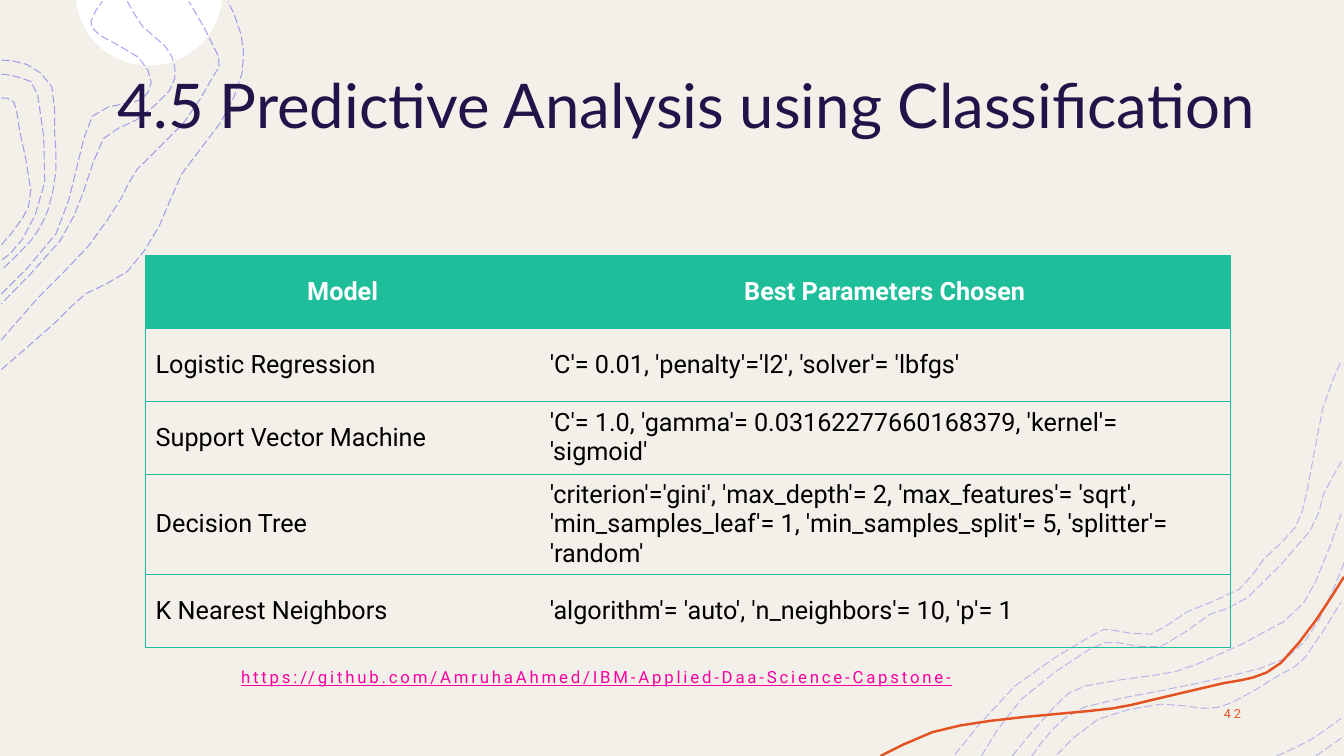
"""Build the slide listing the best parameters chosen for each classification model."""
from math import cos, radians, sin

from lxml import etree
from pptx import Presentation
from pptx.dml.color import RGBColor
from pptx.enum.dml import MSO_LINE
from pptx.enum.text import MSO_ANCHOR, PP_ALIGN
from pptx.oxml.ns import qn
from pptx.util import Pt

LONG_DASH = MSO_LINE.LONG_DASH
MIDDLE = MSO_ANCHOR.MIDDLE
LEFT, CENTER, RIGHT = PP_ALIGN.LEFT, PP_ALIGN.CENTER, PP_ALIGN.RIGHT

CREAM = RGBColor(0xF3, 0xF0, 0xE9)
WHITE = RGBColor(0xFF, 0xFF, 0xFF)
BLACK = RGBColor(0x00, 0x00, 0x00)
NAVY = RGBColor(0x20, 0x14, 0x49)
VIOLET = RGBColor(0x4D, 0x4E, 0xE6)
ORANGE = RGBColor(0xE4, 0x52, 0x21)
GREEN = RGBColor(0x1E, 0xBE, 0x9B)
PINK = RGBColor(0xF9, 0x00, 0xA0)

TITLE = "4.5 Predictive Analysis using Classification"
LINK = "https://github.com/AmruhaAhmed/IBM-Applied-Daa-Science-Capstone-"
PAGE_NUMBER = "42"
MODELS = [
    ("Model", "Best Parameters Chosen"),
    ("Logistic Regression", "'C'= 0.01, 'penalty'='l2', 'solver'= 'lbfgs'"),
    ("Support Vector Machine",
     "'C'= 1.0, 'gamma'= 0.03162277660168379, 'kernel'= 'sigmoid'"),
    ("Decision Tree",
     "'criterion'='gini', 'max_depth'= 2, 'max_features'= 'sqrt', "
     "'min_samples_leaf'= 1, 'min_samples_split'= 5, 'splitter'= 'random'"),
    ("K Nearest Neighbors", "'algorithm'= 'auto', 'n_neighbors'= 10, 'p'= 1"),
]
COLUMN_WIDTHS = (281.5, 493)
ROW_HEIGHTS = (52, 52, 52, 71, 52)

LEFT_CONTOURS = [
    [(1, 264), (40, 230), (61, 210), (91, 194), (114, 161), (130, 124),
     (158, 87), (173, 52), (172, 24), (163, 1)],
    [(1, 243), (27, 213), (63, 176), (87, 141), (98, 121), (131, 88),
     (152, 55), (156, 40), (135, 1)],
    [(91, 1), (102, 19), (118, 33), (125, 48), (121, 65), (97, 86), (74, 99),
     (60, 136), (43, 172), (1, 217)],
    [(1, 210), (40, 167), (55, 119), (66, 83), (89, 74), (101, 71), (108, 59),
     (99, 41), (71, 25), (65, 15), (73, 1)],
    [(1, 43), (19, 46), (37, 62), (39, 95), (40, 122), (34, 151), (22, 172),
     (1, 193)],
    [(1, 53), (16, 56), (27, 68), (32, 130), (16, 171), (1, 186)],
    [(1, 70), (10, 73), (14, 93), (22, 136), (16, 156), (1, 175)],
]
RIGHT_CONTOURS = [
    [(682, 539), (725, 490), (780, 454), (794, 450), (822, 453), (848, 437),
     (885, 421), (903, 399), (925, 377), (934, 349), (945, 291), (958, 258)],
    [(701, 540), (729, 500), (778, 464), (798, 459), (829, 462), (864, 439),
     (891, 427), (936, 379), (945, 354), (958, 330)],
    [(940, 540), (960, 526)],
    [(912, 540), (937, 528), (958, 513)],
    [(755, 539), (784, 514), (829, 503), (859, 506), (880, 502), (914, 482),
     (932, 470), (958, 430)],
    [(737, 540), (752, 521), (775, 505), (831, 493), (878, 483), (919, 470),
     (942, 443), (960, 402)],
    [(723, 540), (754, 504), (775, 490), (827, 482), (856, 474), (917, 444),
     (940, 415), (958, 367)],
]
ORANGE_CURVE = [
    (629, 540), (666, 523), (707, 515), (755, 510), (795, 506), (823, 500),
    (874, 488), (895, 484), (915, 473.5), (940, 443), (960, 412)]
MOON = [(106.5 + 52.5 * cos(radians(angle)), -5.5 + 52.5 * sin(radians(angle)))
        for angle in range(6, 175, 12)]


def smooth(knots, steps=2):
    """Return points on a Catmull-Rom curve through the knots."""
    padded = [knots[0], *knots, knots[-1]]
    points = [knots[0]]
    for a, b, c, d in zip(padded, padded[1:], padded[2:], padded[3:]):
        for step in range(1, steps + 1):
            t = step / steps
            points.append(tuple(
                b[i] + (c[i] - a[i]) * t / 2
                + (2 * a[i] - 5 * b[i] + 4 * c[i] - d[i]) * t ** 2 / 2
                + (3 * b[i] - a[i] - 3 * c[i] + d[i]) * t ** 3 / 2
                for i in (0, 1)))
    return points


def add_outline(page, points, closed=False):
    """Add a freeform through points."""
    places = [(Pt(x), Pt(y)) for x, y in points]
    builder = page.shapes.build_freeform(*places[0])
    builder.add_line_segments(places[1:], close=closed)
    shape = builder.convert_to_shape()
    shape.shadow.inherit = False
    return shape


def add_curve(page, knots, color, width, opacity=None):
    """Add a smooth open line, dashed and see-through when opacity is given."""
    shape = add_outline(page, smooth(knots))
    shape.fill.background()
    shape.line.color.rgb = color
    shape.line.width = Pt(width)
    if opacity:
        shape.line.dash_style = LONG_DASH
        tint = shape.line._ln.find(".//" + qn("a:srgbClr"))
        etree.SubElement(tint, qn("a:alpha")).set("val", str(opacity * 1000))


def write(frame, text, size, color, align, font="Roboto", bold=False):
    """Write one styled run into a text frame."""
    para = frame.paragraphs[0]
    para.alignment = align
    span = para.add_run()
    span.text = text
    span.font.name, span.font.size, span.font.bold = font, Pt(size), bold
    span.font.color.rgb = color
    return span


def add_text(page, area, *style, spacing=0, **options):
    """Add a wrapped text box with one run."""
    box = page.shapes.add_textbox(*map(Pt, area))
    box.text_frame.word_wrap = True
    span = write(box.text_frame, *style, **options)
    if spacing:
        span.font._element.set("spc", str(spacing * 100))
    return span


def set_borders(cell, sides):
    """Draw green lines on the given sides of a cell and none on the others."""
    properties = cell._tc.get_or_add_tcPr()
    for side in "LRTB":
        line = etree.SubElement(properties, qn("a:ln" + side), w=str(Pt(0.5)))
        if side in sides:
            fill = etree.SubElement(line, qn("a:solidFill"))
            etree.SubElement(fill, qn("a:srgbClr")).set("val", str(GREEN))
        else:
            etree.SubElement(line, qn("a:noFill"))


def add_models(page):
    """Add the table of models and their parameters."""
    table = page.shapes.add_table(
        len(MODELS), 2, Pt(104), Pt(182.5),
        Pt(sum(COLUMN_WIDTHS)), Pt(sum(ROW_HEIGHTS))).table
    table.horz_banding = False
    for column, width in zip(table.columns, COLUMN_WIDTHS):
        column.width = Pt(width)
    for i, (row, texts) in enumerate(zip(table.rows, MODELS)):
        row.height = Pt(ROW_HEIGHTS[i])
        header = i == 0
        for cell, text, side in zip(row.cells, texts, "LR"):
            cell.vertical_anchor = MIDDLE
            set_borders(cell, side + "TB")
            if header:
                cell.fill.solid()
                cell.fill.fore_color.rgb = GREEN
            else:
                cell.fill.background()
            write(cell.text_frame, text, 18, WHITE if header else BLACK,
                  CENTER if header else LEFT, bold=header)


def main():
    """Assemble and save the deck."""
    deck = Presentation()
    deck.slide_width, deck.slide_height = Pt(960), Pt(540)
    page = deck.slides.add_slide(deck.slide_layouts[6])
    page.background.fill.solid()
    page.background.fill.fore_color.rgb = CREAM
    moon = add_outline(page, smooth(MOON), closed=True)
    moon.fill.solid()
    moon.fill.fore_color.rgb = WHITE
    moon.line.fill.background()
    for contours, opacity in ((LEFT_CONTOURS, 50), (RIGHT_CONTOURS, 35)):
        for knots in contours:
            add_curve(page, knots, VIOLET, 0.75, opacity)
    add_curve(page, ORANGE_CURVE, ORANGE, 1.75)
    add_text(page, (29.5, 44, 922, 104), TITLE, 44, NAVY, CENTER, font="Lato")
    add_text(page, (780, 500.5, 113.5, 29), PAGE_NUMBER, 9, ORANGE, RIGHT, spacing=2)
    add_models(page)
    link = add_text(page, (85, 472.5, 682.5, 29), LINK, 12, PINK, CENTER, spacing=2)
    link.font.underline = True
    deck.save("out.pptx")


if __name__ == "__main__":
    main()
